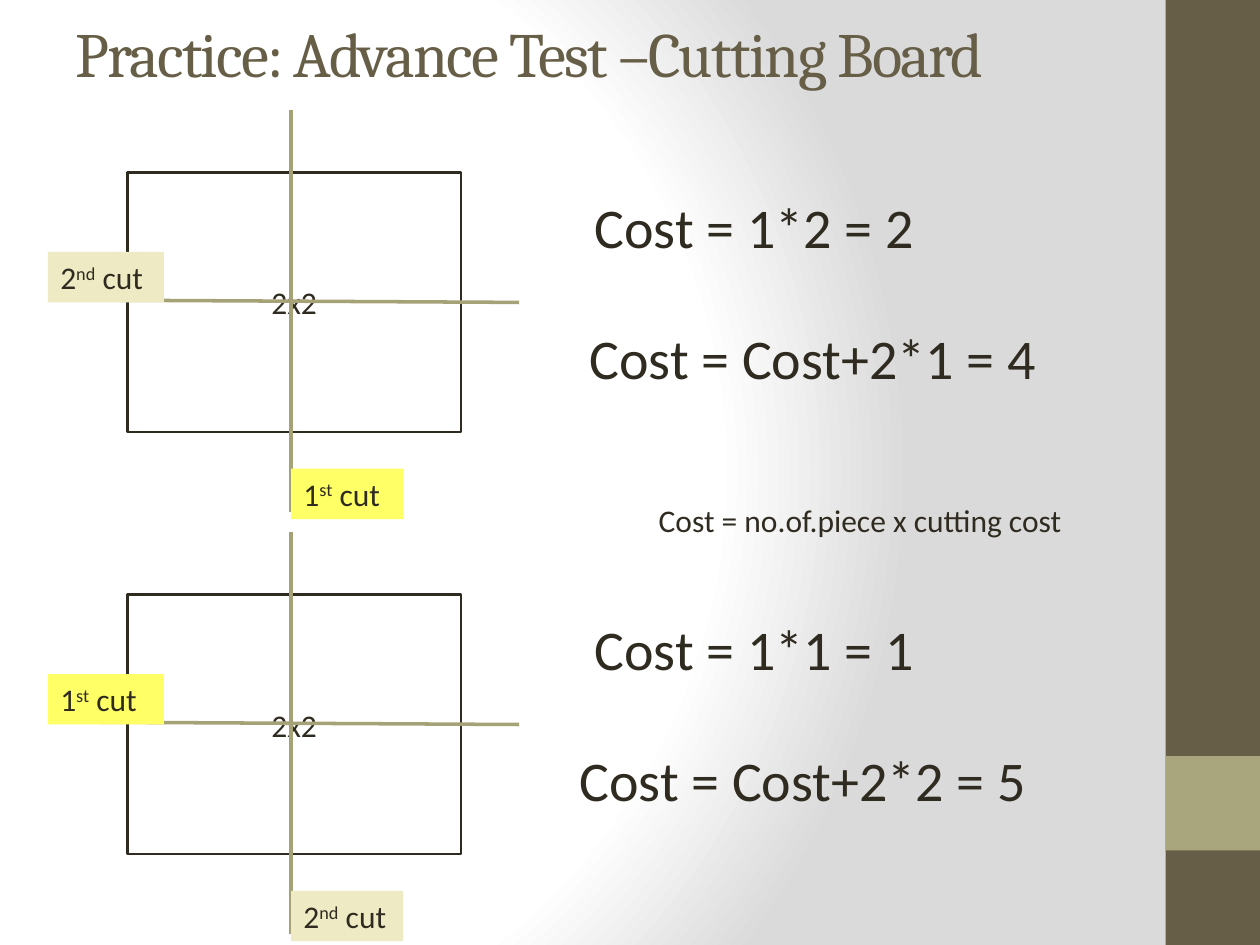
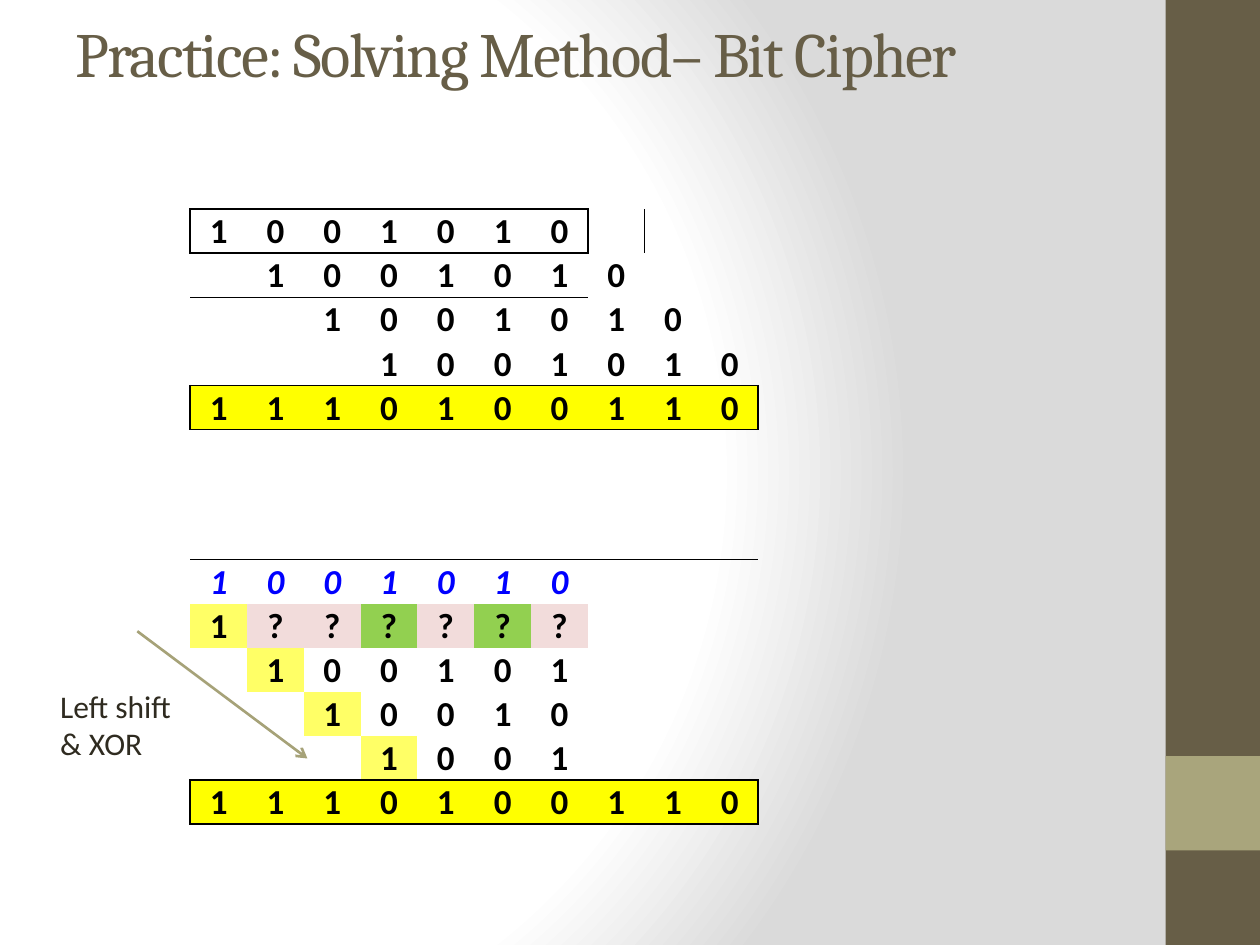
import dataclasses

import pptx
import pptx.dml.color
import pptx.enum.shapes
import pptx.enum.text
import pptx.oxml
import pptx.oxml.ns
import pptx.util

Inches = pptx.util.Inches
Pt = pptx.util.Pt
qn = pptx.oxml.ns.qn
SHAPE = pptx.enum.shapes.MSO_SHAPE
ANCHOR = pptx.enum.text.MSO_ANCHOR
ALIGN = pptx.enum.text.PP_ALIGN
NS = pptx.oxml.ns.nsdecls("a")


@dataclasses.dataclass(frozen=True)
class Theme:
    heading_font: str = "Cambria"
    body_font: str = "Calibri"
    title_size: int = 36
    formula_size: int = 32
    bit_size: int = 20
    body_size: int = 18
    dark: str = "675E47"
    accent: str = "A9A57C"
    line: str = "A6A278"
    ink: str = "2F2B20"
    paper: str = "FFFFFF"
    shade: str = "DADADA"
    black: str = "000000"
    blue: str = "0000FF"
    yellow: str = "FFFF00"
    first_cut: str = "FFFF66"
    second_cut: str = "EDEAC4"
    unknown: str = "F2DCDB"
    green: str = "92D050"


def rgb(color):
    return pptx.dml.color.RGBColor.from_string(color)


class Deck:
    def __init__(self):
        self.theme = Theme()
        self.prs = pptx.Presentation()
        self.prs.slide_width, self.prs.slide_height = Inches(10), Inches(7.5)
        self.s = None

    def slide(self, title):
        t = self.theme
        self.s = self.prs.slides.add_slide(self.prs.slide_layouts[6])
        self.background()
        self.rect(9.25, 0, 0.75, 7.5, fill=t.dark)
        self.rect(9.25, 6, 0.75, 0.75, fill=t.accent)
        tf = self.text(0.5, 0, 8.33, 0.83, [[title]], size=t.title_size,
                       color=t.dark, font=t.heading_font)
        tf.vertical_anchor = ANCHOR.MIDDLE
        for r in tf.paragraphs[0].runs:
            r._r.get_or_add_rPr().set("spc", "-100")

    def background(self):
        """Radial glow from the left, white fading to grey."""
        t = self.theme
        self.s.background.fill.gradient()
        grad = self.s.element.find(".//" + qn("a:gradFill"))
        stops = "".join(
            f'<a:gs pos="{pos}000"><a:srgbClr val="{color}"/></a:gs>'
            for pos, color in ((0, t.paper), (75, t.paper), (100, t.shade)))
        grad.getparent().replace(grad, pptx.oxml.parse_xml(
            f'<a:gradFill {NS} rotWithShape="1"><a:gsLst>{stops}</a:gsLst>'
            '<a:path path="circle"><a:fillToRect l="20000" t="50000" '
            'r="100000" b="50000"/></a:path></a:gradFill>'))

    def rect(self, x, y, w, h, fill=None, line=None):
        sp = self.s.shapes.add_shape(
            SHAPE.RECTANGLE, Inches(x), Inches(y), Inches(w), Inches(h))
        sp.shadow.inherit = False
        if fill:
            sp.fill.solid()
            sp.fill.fore_color.rgb = rgb(fill)
        else:
            sp.fill.background()
        if line:
            sp.line.color.rgb = rgb(line)
            sp.line.width = Pt(1.5)
        else:
            sp.line.fill.background()
        return sp

    def run(self, p, text, size, color=None, font=None):
        r = p.add_run()
        r.text = text
        r.font.size = Pt(size)
        r.font.name = font or self.theme.body_font
        r.font.color.rgb = rgb(color or self.theme.ink)
        return r

    def text(self, x, y, w, h, paragraphs, size=None, color=None, font=None,
             wrap=True):
        """Text box; each paragraph is a list of run texts."""
        tf = self.s.shapes.add_textbox(
            Inches(x), Inches(y), Inches(w), Inches(h)).text_frame
        tf.word_wrap = wrap
        for i, texts in enumerate(paragraphs):
            p = tf.add_paragraph() if i else tf.paragraphs[0]
            for text in texts:
                self.run(p, text, size or self.theme.body_size, color, font)
        return tf

    def line(self, x1, y1, x2, y2, width=2, arrow=False):
        c = self.s.shapes.add_connector(
            pptx.enum.shapes.MSO_CONNECTOR.STRAIGHT,
            Inches(x1), Inches(y1), Inches(x2), Inches(y2))
        c.line.color.rgb = rgb(self.theme.line)
        c.line.width = Pt(width)
        if arrow:
            c.line._get_or_add_ln().append(
                pptx.oxml.parse_xml(f'<a:tailEnd {NS} type="arrow"/>'))
        c._element.spPr.append(pptx.oxml.parse_xml(f"<a:effectLst {NS}/>"))

    def cut_label(self, x, y, w, number, ordinal, fill):
        sp = self.rect(x, y, w, 0.4, fill=fill)
        tf = sp.text_frame
        tf.vertical_anchor = ANCHOR.TOP
        p = tf.paragraphs[0]
        p.alignment = ALIGN.LEFT
        for text in (number, ordinal, " cut"):
            r = self.run(p, text, self.theme.body_size)
            if text == ordinal:
                r._r.get_or_add_rPr().set("baseline", "30000")

    def board(self, top, vertical_cut, horizontal_cut):
        """A 2x2 board with its two cutting lines and their labels."""
        sp = self.rect(1.01, top, 2.65, 2.06, line=self.theme.ink)
        sp.text_frame.vertical_anchor = ANCHOR.MIDDLE
        p = sp.text_frame.paragraphs[0]
        p.alignment = ALIGN.CENTER
        self.run(p, "2x2", self.theme.body_size)
        self.line(2.31, top - 0.5, 2.31, top + 2.69)
        self.cut_label(2.31, top + 2.35, 0.89, *vertical_cut)
        self.line(0.41, top + 1.01, 4.12, top + 1.03)
        self.cut_label(0.38, top + 0.63, 0.92, *horizontal_cut)

    def formula(self, x, y, text):
        self.text(x, y, 3.95, 0.64, [[text]], size=self.theme.formula_size)

    def grid(self, x, y, width, cols, heights):
        """Plain table without style, borders or fills."""
        table = self.s.shapes.add_table(
            len(heights), cols, Inches(x), Inches(y), Inches(width),
            Inches(sum(heights))).table
        table.first_row = table.horz_banding = False
        table._tbl.tblPr.find(qn("a:tableStyleId")).text = (
            "{2D5ABB26-0587-4C30-8999-92F81FD0307C}")
        for col in table.columns:
            col.width = Inches(width / cols)
        for row, height in zip(table.rows, heights):
            row.height = Inches(height)
        for cell in table.iter_cells():
            cell.fill.background()
            cell.vertical_anchor = ANCHOR.BOTTOM
            cell.margin_left = cell.margin_right = cell.margin_top = Inches(0.01)
            cell.margin_bottom = 0
        return table

    def bits(self, table, row, start, values, fills=(), color=None, italic=False):
        """Write one symbol per cell from column start, filling the first ones."""
        for i, value in enumerate(values):
            cell = table.cell(row, start + i)
            p = cell.text_frame.paragraphs[0]
            p.alignment = ALIGN.CENTER
            r = self.run(p, value, self.theme.bit_size, color or self.theme.black)
            r.font.bold, r.font.italic = True, italic
            if i < len(fills):
                cell.fill.solid()
                cell.fill.fore_color.rgb = rgb(fills[i])

    def outline(self, table, row, count):
        """Box the first cells of a row, on both sides of every shared edge."""
        edges = {}

        def mark(r, c, side):
            if r < len(table.rows):
                edges.setdefault((r, c), set()).add(side)

        for c in range(count):
            mark(row, c, "T")
            mark(row, c, "B")
            mark(row - 1, c, "B")
            mark(row + 1, c, "T")
        mark(row, 0, "L")
        mark(row, count - 1, "R")
        mark(row, count, "L")
        for (r, c), sides in edges.items():
            tcPr = table.cell(r, c)._tc.get_or_add_tcPr()
            for i, side in enumerate(s for s in "LRTB" if s in sides):
                tcPr.insert(i, pptx.oxml.parse_xml(
                    f'<a:ln{side} {NS} w="12700"><a:solidFill><a:srgbClr '
                    f'val="{self.theme.black}"/></a:solidFill></a:ln{side}>'))


def cutting_board(deck):
    t = deck.theme
    deck.slide("Practice: Advance Test –Cutting Board")
    first = ("1", "st", t.first_cut)
    second = ("2", "nd", t.second_cut)
    boards = (
        (1.37, first, second, "Cost = 1*2 = 2", 4.58, "Cost = Cost+2*1 = 4"),
        (4.72, second, first, "Cost = 1*1 = 1", 4.5, "Cost = Cost+2*2 = 5"),
    )
    for top, vertical, horizontal, start_cost, total_x, total_cost in boards:
        deck.board(top, vertical, horizontal)
        deck.formula(4.62, top + 0.11, start_cost)
        deck.formula(total_x, top + 1.15, total_cost)
    deck.text(5.13, 3.93, 3.44, 0.4, [["Cost = no.of.piece x cutting cost"]],
              wrap=False)


def bit_cipher(deck):
    t = deck.theme
    deck.slide("Practice: Solving Method– Bit Cipher")
    key, cipher, shifts = "1001010", "1110100110", 4
    encode_row, decode_row = 1, 8
    heights = [0.35] * 13
    heights[6] = 1.03
    table = deck.grid(1.51, 1.31, 4.96, 11, heights)

    deck.bits(table, decode_row - 1, 0, key, color=t.blue, italic=True)
    guess = [t.first_cut] + [t.green if i in (3, 5) else t.unknown
                             for i in range(1, len(key))]
    deck.bits(table, decode_row, 0, "1??????", guess)
    for i in range(shifts):
        deck.bits(table, encode_row + i, i, key)
        if i:
            deck.bits(table, decode_row + i, i, key[:-i], [t.first_cut])
    for row in (encode_row + shifts, decode_row + shifts):
        deck.bits(table, row, 0, cipher, [t.yellow] * len(cipher))
        deck.outline(table, row, len(cipher))
    deck.outline(table, encode_row, len(key))

    deck.line(1.09, 5.01, 2.44, 6.02, width=1.5, arrow=True)
    deck.text(0.38, 5.4, 1.1, 0.71, [["Left shift"], ["& XOR"]], wrap=False)


def main():
    deck = Deck()
    cutting_board(deck)
    bit_cipher(deck)
    deck.prs.save("out.pptx")


if __name__ == "__main__":
    main()
